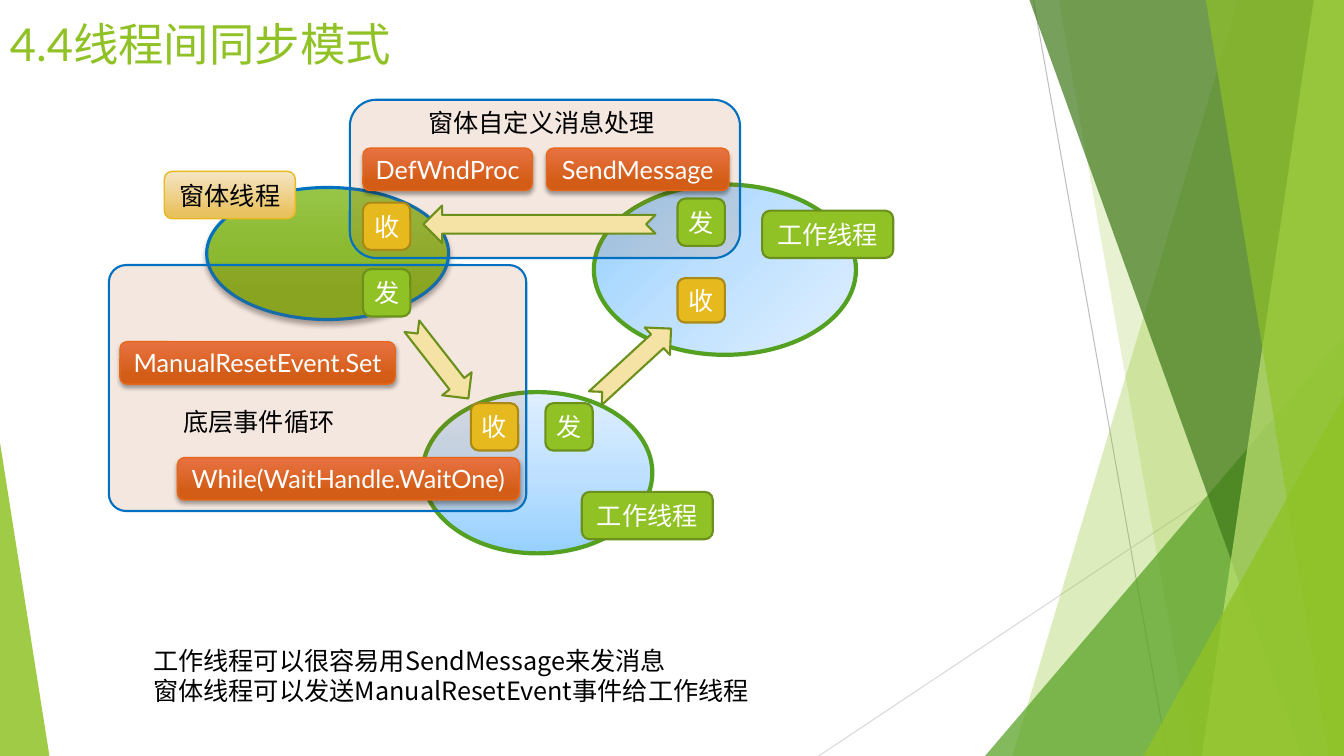
from dataclasses import dataclass
from typing import NamedTuple, Optional

from lxml.etree import SubElement
from pptx import Presentation
from pptx.dml.color import RGBColor
from pptx.enum.shapes import MSO_CONNECTOR, MSO_SHAPE as Shape
from pptx.enum.text import MSO_ANCHOR as Anchor, PP_ALIGN as Align
from pptx.oxml.ns import qn
from pptx.util import Inches, Pt

WHITE = RGBColor(0xFF, 0xFF, 0xFF)
BLACK = RGBColor(0x00, 0x00, 0x00)
GREEN = RGBColor(0x90, 0xC2, 0x26)
GREEN_EDGE = RGBColor(0x6B, 0x90, 0x1C)
LEAF = RGBColor(0x54, 0xA0, 0x21)
FOREST = RGBColor(0x3F, 0x78, 0x19)
LIME = RGBColor(0xC0, 0xE4, 0x74)
MEADOW = RGBColor(0x97, 0xC5, 0x47)
MOSS = RGBColor(0x84, 0xB2, 0x23)
BLUE = RGBColor(0x00, 0x70, 0xC0)
SKY = RGBColor(0x96, 0xD0, 0xFF)
SKY_MID = RGBColor(0xBF, 0xE1, 0xFF)
SKY_PALE = RGBColor(0xE0, 0xEF, 0xFF)
RUST = RGBColor(0xAD, 0x4C, 0x12)
CORAL = RGBColor(0xE8, 0x72, 0x42)
ORANGE = RGBColor(0xD3, 0x5D, 0x16)
ORANGE_EDGE = RGBColor(0xE7, 0x66, 0x18)
GOLD = RGBColor(0xE6, 0xB9, 0x1E)
GOLD_EDGE = RGBColor(0xAA, 0x89, 0x16)
CREAM = RGBColor(0xF5, 0xE5, 0xC5)
SAND = RGBColor(0xE9, 0xC2, 0x60)
STRAW = RGBColor(0xF5, 0xE3, 0xA5)
GRAY = RGBColor(0xBF, 0xBF, 0xBF)
GRAY_PALE = RGBColor(0xD9, 0xD9, 0xD9)

LATIN, HAN = "Lato", "Noto Sans CJK SC"
WIDTH, HEIGHT = 13.33, 7.5


class Style(NamedTuple):
    """Fill stops are (percent, colour); angle None means radial from the top left."""
    stops: tuple
    line: RGBColor
    width: float
    angle: Optional[int] = 90
    alpha: int = 100
    shadow: Optional[tuple[float, float]] = None  # blur, distance in points
    color: RGBColor = WHITE


SKY_STOPS = ((0, SKY), (50, SKY_MID), (100, SKY_PALE))
WORKER = Style(SKY_STOPS, LEAF, 3, angle=270)
WORKER_RADIAL = Style(SKY_STOPS, LEAF, 3, angle=None)
FORM = Style(((0, MEADOW), (78, MOSS)), BLUE, 2.25, shadow=(4, 3))
ZONE = Style(((0, RUST),), BLUE, 1.5, alpha=13)
ARROW = Style(((0, STRAW),), GREEN_EDGE, 1.5)
CALL = Style(((0, CORAL), (78, ORANGE)), ORANGE_EDGE, 1, shadow=(3, 2))
SEND = Style(((0, GREEN),), GREEN_EDGE, 1.5)
RECEIVE = Style(((0, GOLD),), GOLD_EDGE, 1.5)
FORM_TAG = Style(((0, CREAM), (88, SAND)), GOLD, 1, color=BLACK)


@dataclass
class Node:
    style: Style
    x: float
    y: float
    w: float
    h: float
    text: str = ""
    kind: Shape = Shape.ROUNDED_RECTANGLE
    rotation: float = 0
    adj: Optional[float] = None


class Band(NamedTuple):
    """Facet running from a slanted left edge to the right side of the slide."""
    top_x: float
    bottom_x: float
    color: RGBColor
    alpha: int


class Wedge(NamedTuple):
    """Right triangle standing on the bottom of the slide."""
    x: float
    y: float
    w: float
    apex: int
    color: RGBColor
    alpha: int


class Caption(NamedTuple):
    x: float
    y: float
    w: float
    h: float
    lines: tuple[str, ...]
    size: float = 18
    font: str = HAN
    color: RGBColor = BLACK


FACETS = [
    Band(12.28, 10.04, GREEN, 30), Band(10.5, 11.83, GREEN, 20),
    Wedge(9.77, 3.33, 3.56, 1, LEAF, 72), Band(10.21, 12.91, FOREST, 70),
    Band(13.03, 11.92, LIME, 70), Band(11.96, 13.18, GREEN, 65),
    Wedge(11.34, 3.93, 1.99, 1, GREEN, 80), Wedge(0, 4.39, 0.49, 0, GREEN, 85),
]
HAIRLINES = [(10.25, 0, 11.58, HEIGHT, GRAY), (WIDTH, 4.03, 8.12, HEIGHT, GRAY_PALE)]
NODES = [
    Node(WORKER, 4.19, 3.89, 2.28, 1.6, kind=Shape.OVAL),
    Node(FORM, 2.05, 1.86, 2.4, 1.31, kind=Shape.OVAL),
    Node(ZONE, 1.08, 2.63, 4.14, 2.44, adj=0.07),
    Node(WORKER_RADIAL, 5.89, 1.83, 2.6, 1.69, kind=Shape.OVAL),
    Node(ZONE, 3.47, 0.99, 3.87, 1.57),
    Node(ARROW, 4.2, 2.04, 2.3, 0.37, kind=Shape.NOTCHED_RIGHT_ARROW, rotation=180),
    Node(CALL, 5.42, 1.47, 1.81, 0.42, "SendMessage"),
    Node(SEND, 7.56, 2.09, 1.3, 0.47, "工作线程"),
    Node(SEND, 5.77, 4.88, 1.3, 0.47, "工作线程"),
    Node(FORM_TAG, 1.63, 1.7, 1.3, 0.47, "窗体线程"),
    Node(SEND, 6.72, 1.97, 0.47, 0.47, "发"),
    Node(SEND, 5.41, 4, 0.47, 0.47, "发"),
    Node(RECEIVE, 3.6, 2.01, 0.47, 0.47, "收"),
    Node(ARROW, 5.77, 3.42, 1.02, 0.37, kind=Shape.NOTCHED_RIGHT_ARROW, rotation=317.4),
    Node(RECEIVE, 6.72, 2.76, 0.47, 0.44, "收"),
    Node(SEND, 3.6, 2.67, 0.47, 0.47, "发"),
    Node(ARROW, 3.91, 3.41, 0.91, 0.37, kind=Shape.NOTCHED_RIGHT_ARROW, rotation=52),
    Node(RECEIVE, 4.67, 4, 0.47, 0.47, "收"),
    Node(CALL, 3.6, 1.47, 1.68, 0.42, "DefWndProc"),
    Node(CALL, 1.19, 3.39, 2.73, 0.42, "ManualResetEvent.Set"),
    Node(CALL, 1.76, 4.54, 3.39, 0.42, "While(WaitHandle.WaitOne)"),
]
CAPTIONS = [
    Caption(0, 0.11, 4.2, 0.74, ("4.4线程间同步模式",), 32.4, LATIN, GREEN),
    Caption(4.15, 1.02, 2.47, 0.4, ("窗体自定义消息处理",)),
    Caption(1.72, 3.98, 1.73, 0.4, ("底层事件循环",)),
    Caption(1.42, 6.35, 6.29, 0.71, ("工作线程可以很容易用SendMessage来发消息",
                                     "窗体线程可以发送ManualResetEvent事件给工作线程")),
]


def add_el(parent, tag: str, **attrs):
    return SubElement(parent, qn(tag), {k: str(v) for k, v in attrs.items()})


def fill_solid(sp, color: RGBColor, alpha: int) -> None:
    sp.fill.solid()
    sp.fill.fore_color.rgb = color
    if alpha < 100:
        clr = sp._element.spPr.find(qn("a:solidFill"))[0]
        add_el(clr, "a:alpha", val=alpha * 1000)


def fill_gradient(sp, style: Style) -> None:
    sp.fill.gradient()
    grad = sp._element.spPr.find(qn("a:gradFill"))
    grad.clear()
    stops = add_el(grad, "a:gsLst")
    for percent, color in style.stops:
        add_el(add_el(stops, "a:gs", pos=percent * 1000), "a:srgbClr", val=color)
    if style.angle is None:
        focus = add_el(grad, "a:path", path="circle")
        add_el(focus, "a:fillToRect", r=100000, b=100000)
    else:
        add_el(grad, "a:lin", ang=style.angle * 60000, scaled=0)


def add_shadow(sp, blur: float, dist: float) -> None:
    effects = sp._element.spPr.find(qn("a:effectLst"))
    outer = add_el(effects, "a:outerShdw", blurRad=Pt(blur), dist=Pt(dist),
                   dir=90 * 60000, rotWithShape=0)
    add_el(add_el(outer, "a:srgbClr", val=BLACK), "a:alpha", val=35000)


def add_run(p, text: str, font: str, size: float, color: RGBColor) -> None:
    r = p.add_run()
    r.text = text
    r.font.name, r.font.size, r.font.color.rgb = font, Pt(size), color
    add_el(r._r.get_or_add_rPr(), "a:ea", typeface=HAN)


def draw_facet(s, facet: Band | Wedge) -> None:
    if isinstance(facet, Band):
        fb = s.shapes.build_freeform(Inches(facet.top_x), 0)
        fb.add_line_segments([(Inches(x), Inches(y)) for x, y in (
            (WIDTH, 0), (WIDTH, HEIGHT), (facet.bottom_x, HEIGHT))])
        sp = fb.convert_to_shape()
    else:
        sp = s.shapes.add_shape(Shape.ISOSCELES_TRIANGLE, Inches(facet.x), Inches(facet.y),
                                Inches(facet.w), Inches(HEIGHT - facet.y))
        sp.adjustments[0] = facet.apex
    fill_solid(sp, facet.color, facet.alpha)
    sp.line.fill.background()
    sp.shadow.inherit = False


def draw_hairline(s, x1: float, y1: float, x2: float, y2: float, color: RGBColor) -> None:
    line = s.shapes.add_connector(MSO_CONNECTOR.STRAIGHT, *map(Inches, (x1, y1, x2, y2)))
    line.line.color.rgb, line.line.width = color, Pt(0.75)
    add_el(line._element.spPr, "a:effectLst")


def draw_node(s, node: Node) -> None:
    style = node.style
    sp = s.shapes.add_shape(node.kind, *map(Inches, (node.x, node.y, node.w, node.h)))
    sp.rotation = node.rotation
    if node.adj is not None:
        sp.adjustments[0] = node.adj
    if len(style.stops) > 1:
        fill_gradient(sp, style)
    else:
        fill_solid(sp, style.stops[0][1], style.alpha)
    sp.line.color.rgb, sp.line.width = style.line, Pt(style.width)
    sp.shadow.inherit = False
    if style.shadow:
        add_shadow(sp, *style.shadow)
    if node.text:
        tf = sp.text_frame
        tf.word_wrap, tf.vertical_anchor = False, Anchor.MIDDLE
        p = tf.paragraphs[0]
        p.alignment = Align.CENTER
        add_run(p, node.text, LATIN if node.text.isascii() else HAN, 18, style.color)


def draw_caption(s, cap: Caption) -> None:
    tf = s.shapes.add_textbox(*map(Inches, cap[:4])).text_frame
    tf.word_wrap = False
    for i, line in enumerate(cap.lines):
        p = tf.add_paragraph() if i else tf.paragraphs[0]
        add_run(p, line, cap.font, cap.size, cap.color)


def main() -> None:
    prs = Presentation()
    prs.slide_width, prs.slide_height = Inches(WIDTH), Inches(HEIGHT)
    s = prs.slides.add_slide(prs.slide_layouts[6])
    for hairline in HAIRLINES:
        draw_hairline(s, *hairline)
    for facet in FACETS:
        draw_facet(s, facet)
    for node in NODES:
        draw_node(s, node)
    for cap in CAPTIONS:
        draw_caption(s, cap)
    prs.save("out.pptx")


if __name__ == "__main__":
    main()
